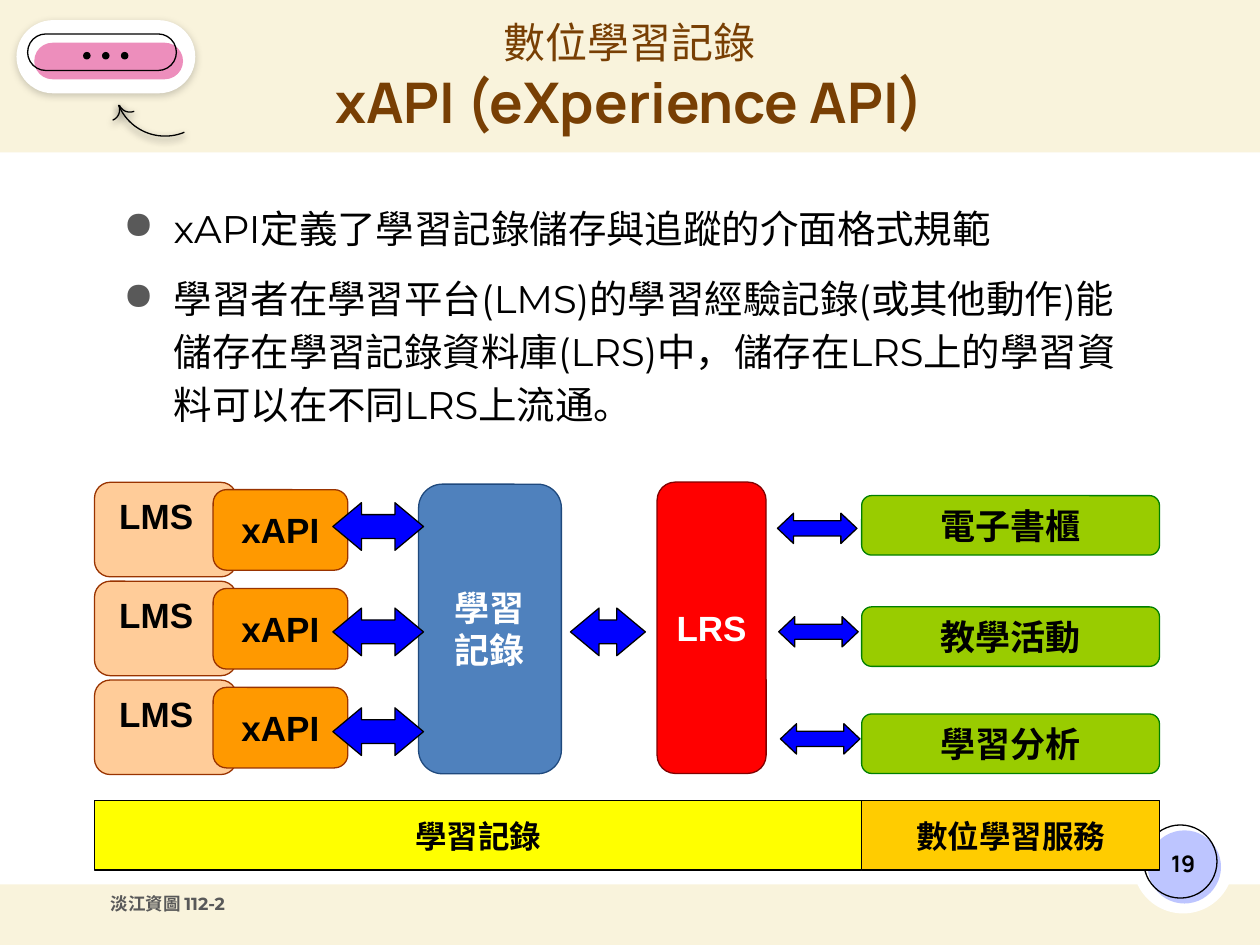
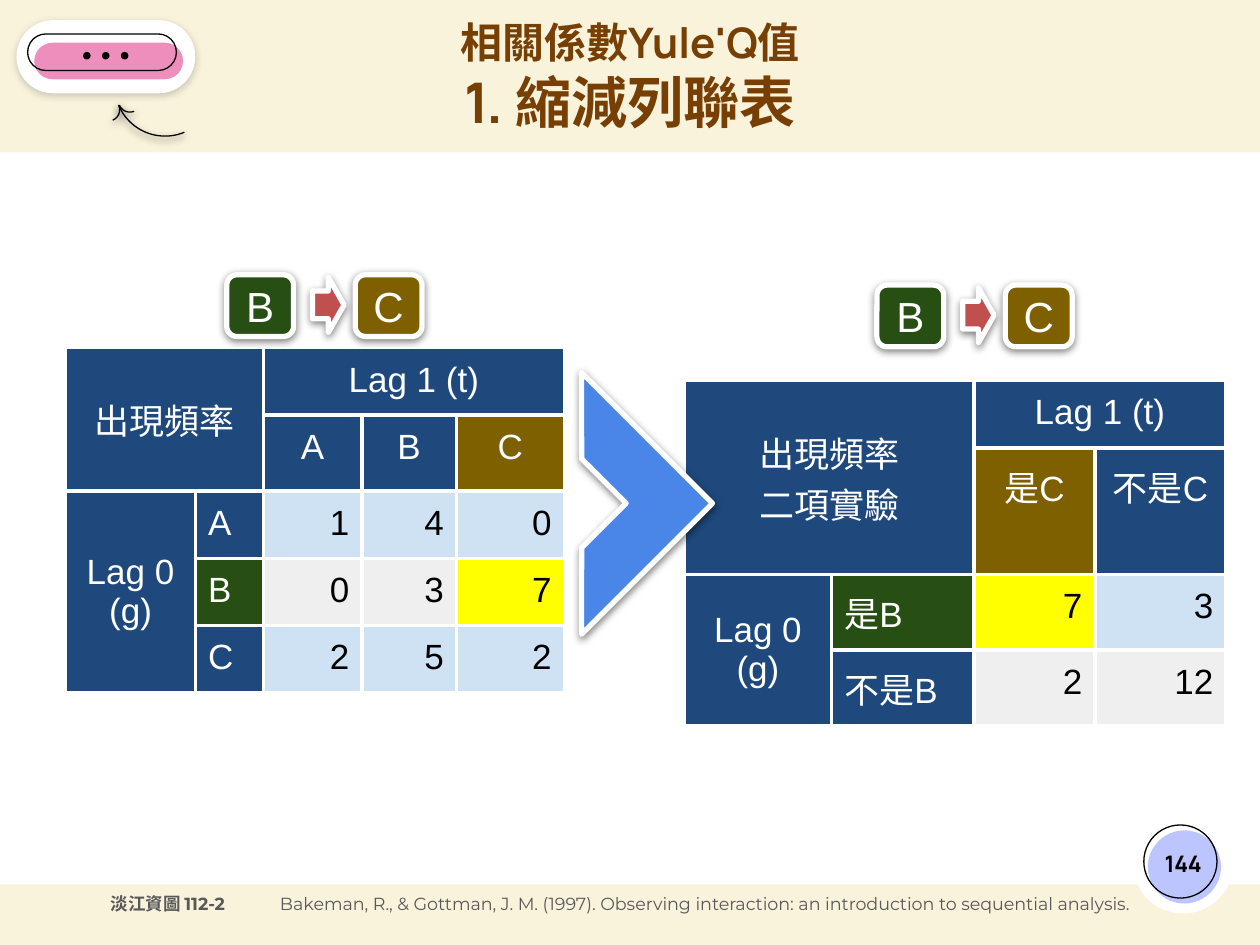
from lxml.etree import SubElement as Sub
from pptx import Presentation
from pptx.dml.color import RGBColor as RGB
from pptx.enum.shapes import MSO_SHAPE as Kind
from pptx.enum.text import MSO_ANCHOR as Anchor, PP_ALIGN as Align
from pptx.oxml.ns import qn
from pptx.util import Pt

BLACK = RGB(0x00, 0x00, 0x00)
WHITE = RGB(0xFF, 0xFF, 0xFF)
CREAM = RGB(0xF9, 0xF3, 0xDC)
GRAY = RGB(0x59, 0x59, 0x59)
BROWN = RGB(0x78, 0x3F, 0x04)
LILAC = RGB(0xBD, 0xC5, 0xFF)
PINK = RGB(0xED, 0x8E, 0xBC)
PEACH = RGB(0xFF, 0xCC, 0x99)
ORANGE = RGB(0xFF, 0x99, 0x00)
RUST = RGB(0x99, 0x33, 0x00)
RED = RGB(0xFF, 0x00, 0x00)
MAROON = RGB(0x80, 0x00, 0x00)
STEEL = RGB(0x4F, 0x81, 0xBD)
NAVY = RGB(0x1F, 0x49, 0x7D)
LIME = RGB(0x99, 0xCC, 0x00)
GREEN = RGB(0x00, 0x80, 0x00)
BLUE = RGB(0x00, 0x00, 0xFF)
YELLOW = RGB(0xFF, 0xFF, 0x00)
AMBER = RGB(0xFF, 0xCC, 0x00)
FOREST = RGB(0x27, 0x4E, 0x13)
OLIVE = RGB(0x7F, 0x60, 0x00)
BRICK = RGB(0xC0, 0x50, 0x4D)
AZURE = RGB(0x4A, 0x86, 0xE8)
PALE = RGB(0xCF, 0xE2, 0xF3)
SILVER = RGB(0xEF, 0xEF, 0xEF)

TITLE = "Manrope"
BODY = "Montserrat"
PLAIN = "Arial"


class Deck:
    """Holds the shared style and the current slide, and draws on it."""

    def __init__(self):
        self.show = Presentation()
        self.show.slide_width, self.show.slide_height = Pt(720), Pt(540)
        self.slide = None

    def start(self, title, number, bold=(True, True)):
        self.slide = self.show.slides.add_slide(self.show.slide_layouts[6])
        back = self.slide.background.fill
        back.solid()
        back.fore_color.rgb = CREAM
        self.text(["淡江資圖 112-2"], 56.2, 504, 310, 26.6, 10, GRAY, BODY, True)
        self.shape(Kind.RECTANGLE, 0, 87.1, 720, 418.3, WHITE)
        self.shape(Kind.OVAL, 647.3, 464.4, 57.6, 57.6, WHITE)
        self.shape(Kind.OVAL, 655.9, 474.5, 41.8, 41.8, LILAC)
        self.shape(Kind.OVAL, 653.6, 471.4, 41.8, 41.8, line=BLACK)
        self.badge()
        frame = self.text(title, 111.6, 11.5, 496.8, 70.6, 24, BROWN, TITLE,
                          align=Align.CENTER, anchor=Anchor.MIDDLE, pad=(7.2, 0, 7.2, 7.2))
        for par, size, heavy in zip(frame.paragraphs, (24, 32), bold):
            par.font.size, par.font.bold = Pt(size), heavy
        self.text([number], 654.5, 473, 43.2, 41, 13, BLACK, TITLE, True,
                  Align.CENTER, Anchor.MIDDLE)

    def badge(self):
        for x, y, size, turn in ((65.5, 20.2, 57.6, 157.5), (67.7, 51.1, 13, 157.5),
                                 (55.4, 56.2, 13, 67.5)):
            arc = self.shape(Kind.ARC, x, y, size, size, line=BLACK, shade=68)
            arc.rotation = turn
        for x, y, w, h, fill, line, shade in (
                (9.4, 11.5, 102.2, 41.8, WHITE, None, 19),
                (19.6, 24.4, 85, 20.9, PINK, None, 0),
                (15.8, 19.4, 85, 20.9, None, BLACK, 0)):
            self.shape(Kind.ROUNDED_RECTANGLE, x, y, w, h, fill, line, shade=shade, bends=[0.5])
        for i in range(3):
            self.shape(Kind.OVAL, 47.5 + 10.8 * i, 29.7, 4.3, 4.3, BLACK)

    def shape(self, kind, x, y, w, h, fill=None, line=None, width=0.75, shade=0, bends=()):
        item = self.slide.shapes.add_shape(kind, Pt(x), Pt(y), Pt(w), Pt(h))
        item.shadow.inherit = False
        for i, bend in enumerate(bends):
            item.adjustments[i] = bend
        if fill is None:
            item.fill.background()
        else:
            item.fill.solid()
            item.fill.fore_color.rgb = fill
        if line is None:
            item.line.fill.background()
        else:
            item.line.color.rgb, item.line.width = line, Pt(width)
        if shade:
            effects = item._element.spPr.find(qn("a:effectLst"))
            cast = Sub(effects, qn("a:outerShdw"), blurRad=str(Pt(4.5)), dist=str(Pt(1.5)),
                       dir="5400000", algn="bl", rotWithShape="0")
            tint = Sub(cast, qn("a:srgbClr"), val=str(BLACK))
            Sub(tint, qn("a:alpha"), val=str(shade * 1000))
        return item

    def put(self, frame, lines, size, color, font=PLAIN, bold=False, align=Align.LEFT):
        for i, line in enumerate(lines):
            par = frame.add_paragraph() if i else frame.paragraphs[0]
            par.text, par.alignment = line, align
            face = par.font
            face.name, face.size, face.bold = font, Pt(size), bold
            face.color.rgb = color

    def fit(self, frame, anchor, pad):
        frame.word_wrap, frame.vertical_anchor = True, anchor
        (frame.margin_left, frame.margin_top,
         frame.margin_right, frame.margin_bottom) = map(Pt, pad)

    def text(self, lines, x, y, w, h, size, color, font, bold=False, align=Align.LEFT,
             anchor=Anchor.TOP, pad=(7.2,) * 4):
        frame = self.slide.shapes.add_textbox(Pt(x), Pt(y), Pt(w), Pt(h)).text_frame
        self.fit(frame, anchor, pad)
        self.put(frame, lines, size, color, font, bold, align)
        return frame

    def points(self, lines, x, y, w, h):
        frame = self.text([], x, y, w, h, 22, BLACK, BODY)
        for i, line in enumerate(lines):
            par = frame.add_paragraph() if i else frame.paragraphs[0]
            par.text = line
            props = par._p.get_or_add_pPr()
            props.set("marL", str(Pt(36)))
            props.set("indent", str(Pt(-28.8)))
            Sub(Sub(props, qn("a:buClr")), qn("a:srgbClr"), val=str(GRAY))
            Sub(props, qn("a:buChar"), char="●")
            par.line_spacing = 1.15
            if i:
                par.space_before = Pt(10)
            par.font.name, par.font.size = BODY, Pt(22)
            par.font.color.rgb = BLACK

    def block(self, lines, x, y, w, h, fill, line, color=BLACK, size=20,
              kind=Kind.ROUNDED_RECTANGLE, align=Align.CENTER, anchor=Anchor.MIDDLE,
              pad=(7.2, 3.6, 7.2, 3.6)):
        frame = self.shape(kind, x, y, w, h, fill, line).text_frame
        self.fit(frame, anchor, pad)
        self.put(frame, lines, size, color, bold=True, align=align)

    def arrow(self, x, y, w, h, head):
        self.shape(Kind.LEFT_RIGHT_ARROW, x, y, w, h, BLUE, BLACK, bends=[0.5, head])

    def pair(self, x, y):
        for left, name, fill in ((x, "B", FOREST), (x + 73.4, "C", OLIVE)):
            tile = self.shape(Kind.ROUNDED_RECTANGLE, left, y, 38.2, 35.3, fill, WHITE, 3, 50)
            self.fit(tile.text_frame, Anchor.MIDDLE, (7.2,) * 4)
            self.put(tile.text_frame, [name], 24, WHITE, align=Align.CENTER)
        self.shape(Kind.RIGHT_ARROW, x + 49, y + 1.4, 18, 31.7, BRICK, WHITE, 3, 50)

    def table(self, x, y, wide, high, rows, marks):
        grid = self.slide.shapes.add_table(len(high), len(wide), Pt(x), Pt(y),
                                           Pt(sum(wide)), Pt(sum(high))).table
        grid.first_row = grid.horz_banding = False
        for col, w in zip(grid.columns, wide):
            col.width = Pt(w)
        for row, h in zip(grid.rows, high):
            row.height = Pt(h)
        for r, row in enumerate(rows):
            for c, value in enumerate(row):
                self.cell(grid.cell(r, c), r, c, value, marks.get((r, c)))
        low, right = len(high) - 1, len(wide) - 1
        for top, end in (((0, 0), (1, 1)), ((0, 2), (0, right)), ((2, 0), (low, 0))):
            grid.cell(*top).merge(grid.cell(*end))

    def cell(self, cell, r, c, value, mark):
        head = r < 2 or c < 2
        props = cell._tc.get_or_add_tcPr()
        for side in ("lnL", "lnR", "lnT", "lnB"):
            edge = Sub(props, qn("a:" + side), w=str(Pt(2.25)))
            Sub(Sub(edge, qn("a:solidFill")), qn("a:srgbClr"), val=str(WHITE))
        cell.fill.solid()
        cell.fill.fore_color.rgb = mark or (NAVY if head else SILVER if r % 2 else PALE)
        cell.margin_left = cell.margin_right = Pt(7.2)
        cell.margin_top = cell.margin_bottom = Pt(7.2)
        cell.vertical_anchor = Anchor.MIDDLE if c == 0 else Anchor.TOP
        align = Align.CENTER if r < 2 or c == 0 else Align.LEFT if c == 1 else Align.RIGHT
        if value:
            self.put(cell.text_frame, value.split("\n"), 20, WHITE if head else BLACK,
                     align=align)


def draw_flow(deck):
    deck.start(["數位學習記錄", "xAPI (eXperience API)"], "19", (False, True))
    deck.points(["xAPI定義了學習記錄儲存與追蹤的介面格式規範",
                 "學習者在學習平台(LMS)的學習經驗記錄(或其他動作)能儲存在學習記錄資料庫(LRS)中，"
                 "儲存在LRS上的學習資料可以在不同LRS上流通。"], 56.2, 105.8, 607.7, 374.4)
    deck.block(["LRS"], 375.5, 275.5, 62.3, 166.5, RED, MAROON, WHITE)
    deck.block(["學習", "記錄"], 239.2, 276.7, 81.6, 165.5, STEEL, NAVY, WHITE)
    for i, mid in enumerate((287.3, 347.5, 404.5)):
        top = 275.6 + 56.5 * i
        deck.block(["LMS"], 54, top, 81.2, 54, PEACH, RUST, align=Align.LEFT,
                   anchor=Anchor.TOP, pad=(11.5, 4.6, 0, 0))
        deck.block(["xAPI"], 121.8, top + 4.2, 77, 46, ORANGE, RUST)
        deck.arrow(190.2, mid, 51.8, 27.2, 0.6)
    deck.arrow(326, 347.5, 42.8, 27.2, 0.6)
    for name, top, x, mid in (("電子書櫃", 283.2, 444.3, 293.3), ("教學活動", 346.8, 445, 352.4),
                              ("學習分析", 408, 446, 413.6)):
        deck.block([name], 492.4, top, 170.2, 34, LIME, GREEN)
        deck.arrow(x, mid, 45.4, 17.3, 0.53)
    for name, x, w, fill in (("學習記錄", 54, 438.4, YELLOW), ("數位學習服務", 492.4, 170.2, AMBER)):
        deck.block([name], x, 457.6, w, 39.6, fill, BLACK, size=18, kind=Kind.RECTANGLE)


def draw_counts(deck):
    deck.start(["相關係數Yule'Q值", "1. 縮減列聯表"], "144")
    deck.text(["Bakeman, R., & Gottman, J. M. (1997). Observing interaction: "
               "an introduction to sequential analysis."], 148.3, 506.2, 496.8, 20.2,
              10, GRAY, BODY, align=Align.RIGHT, anchor=Anchor.MIDDLE, pad=(0,) * 4)
    deck.table(37.5, 198.7, (74.2, 38.9, 56.2, 54, 61.7), (36.6, 43.4, 36.6, 36.6, 38),
               (("出現頻率", "", "Lag 1 (t)", "", ""),
                ("", "", "A", "B", "C"),
                ("Lag 0\n(g)", "A", "1", "4", "0"),
                ("", "B", "0", "3", "7"),
                ("", "C", "2", "5", "2")),
               {(1, 4): OLIVE, (3, 1): FOREST, (3, 4): YELLOW})
    deck.table(391, 217.5, (84.2, 81.4, 69.1, 74.9), (36.6, 72.4, 43.2, 43.2),
               (("出現頻率\n二項實驗", "", "Lag 1 (t)", ""),
                ("", "", "是C", "不是C"),
                ("Lag 0\n(g)", "是B", "7", "3"),
                ("", "不是B", "2", "12")),
               {(1, 2): OLIVE, (2, 1): FOREST, (2, 2): YELLOW})
    deck.pair(129.6, 157)
    deck.pair(501.1, 162.9)
    wedge = deck.shape(Kind.HALF_FRAME, 279.4, 234.7, 105.8, 105.8, AZURE, WHITE, 3, 50,
                       [0.33, 0.33])
    wedge.rotation = 135


def main():
    deck = Deck()
    draw_flow(deck)
    draw_counts(deck)
    deck.show.save("out.pptx")


if __name__ == "__main__":
    main()
